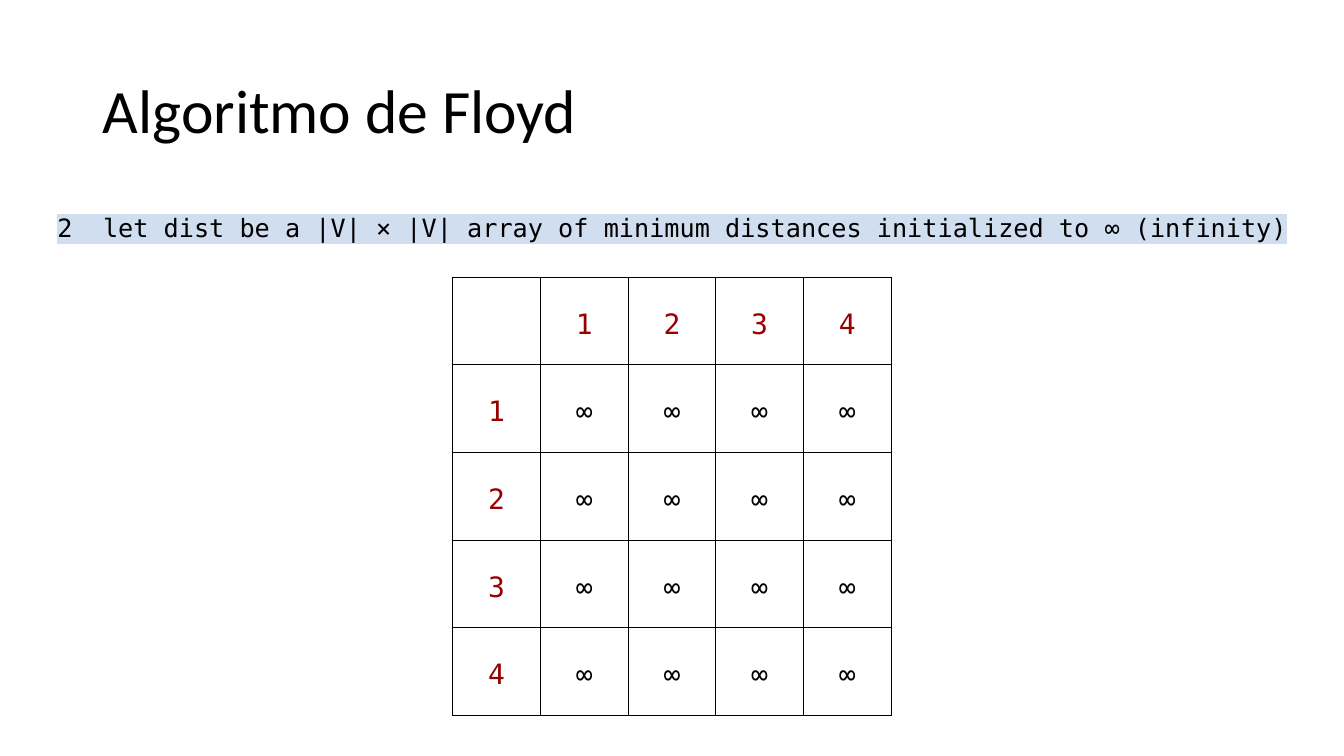
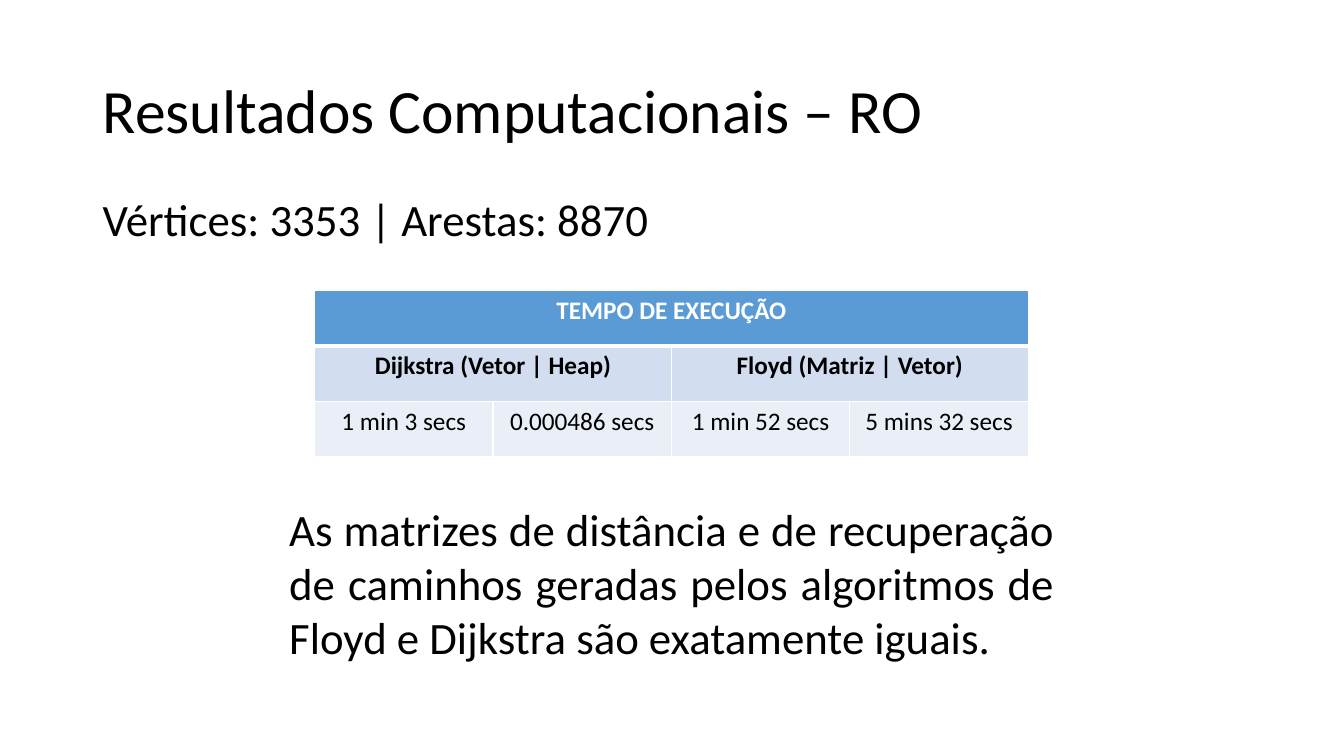
from lxml import etree
from pptx import Presentation
from pptx.dml.color import RGBColor
from pptx.enum.text import MSO_ANCHOR, MSO_AUTO_SIZE, PP_ALIGN
from pptx.oxml.ns import qn
from pptx.util import Inches, Pt

BLACK = RGBColor(0x00, 0x00, 0x00)
WHITE = RGBColor(0xFF, 0xFF, 0xFF)
RED = RGBColor(0x98, 0x00, 0x00)
BLUE = RGBColor(0x5B, 0x9B, 0xD5)
LIGHT_BLUE = RGBColor(0xD2, 0xDE, 0xEF)
PALE_BLUE = RGBColor(0xEA, 0xEF, 0xF7)
HIGHLIGHT = RGBColor(0xD0, 0xDE, 0xEF)
SANS, MONO = "Calibri", "DejaVu Sans Mono"
TITLE_AND_CONTENT, TITLE_ONLY = 1, 5

FLOYD_TITLE = "Algoritmo de Floyd"
FLOYD_STEP = "2  let dist be a |V| × |V| array of minimum distances initialized to ∞ (infinity)"
VERTICES = ["1", "2", "3", "4"]
DISTANCES = [["", *VERTICES]] + [[vertex] + ["∞"] * len(VERTICES) for vertex in VERTICES]

RESULTS_TITLE = "Resultados Computacionais – RO"
GRAPH_SIZE = "Vértices: 3353 | Arestas: 8870"
CONCLUSION = ("As matrizes de distância e de recuperação de caminhos geradas pelos "
              "algoritmos de Floyd e Dijkstra são exatamente iguais.")
TIMES = [  # texts, fill, font colour, bold
    (["TEMPO DE EXECUÇÃO"], BLUE, WHITE, True),
    (["Dijkstra (Vetor | Heap)", "Floyd (Matriz | Vetor)"], LIGHT_BLUE, BLACK, True),
    (["1 min 3 secs", "0.000486 secs", "1 min 52 secs", "5 mins 32 secs"],
     PALE_BLUE, BLACK, False),
]


def place(shape, left, top, width, height):
    for side, value in dict(left=left, top=top, width=width, height=height).items():
        setattr(shape, side, Inches(value))


def write(frame, text, size, font=SANS, color=BLACK, bold=False, **paragraph_format):
    paragraph = frame.paragraphs[0]
    for name, value in paragraph_format.items():
        setattr(paragraph, name, value)
    run = paragraph.add_run()
    run.text = text
    for name, value in dict(size=Pt(size), name=font, bold=bold).items():
        setattr(run.font, name, value)
    run.font.color.rgb = color
    return run


def add_titled_slide(deck, layout, title):
    slide = deck.slides.add_slide(deck.slide_layouts[layout])
    place(slide.shapes.title, 0.92, 0.4, 11.5, 1.45)
    frame = slide.shapes.title.text_frame
    frame.vertical_anchor = MSO_ANCHOR.MIDDLE
    frame.auto_size = MSO_AUTO_SIZE.NONE
    write(frame, title, 44, alignment=PP_ALIGN.LEFT, line_spacing=0.9)
    return slide


def add_text(slide, text, box, alignment):
    frame = slide.shapes.add_textbox(*map(Inches, box)).text_frame
    frame.word_wrap = True
    frame.auto_size = MSO_AUTO_SIZE.SHAPE_TO_FIT_TEXT
    write(frame, text, 32, alignment=alignment)


def add_plain_table(slide, rows, columns, left, top, column_width, row_height):
    """Add a table without the header and banding of its style."""
    table = slide.shapes.add_table(
        rows, columns, Inches(left), Inches(top),
        Inches(columns * column_width), Inches(rows * row_height)).table
    table.first_row = table.horz_banding = False
    for column in table.columns:
        column.width = Inches(column_width)
    for row in table.rows:
        row.height = Inches(row_height)
    return table


def set_borders(cell, color, **widths):
    """Draw all four sides 1 pt wide, but for the widths given by side (L, R, T, B)."""
    properties = cell._tc.get_or_add_tcPr()
    for index, side in enumerate("LRTB"):
        line = etree.Element(qn(f"a:ln{side}"), w=str(Pt(widths.get(side, 1))))
        fill = etree.SubElement(line, qn("a:solidFill"))
        etree.SubElement(fill, qn("a:srgbClr"), val=str(color))
        properties.insert(index, line)


def highlight(run, color):
    mark = etree.Element(qn("a:highlight"))
    etree.SubElement(mark, qn("a:srgbClr"), val=str(color))
    run.font._element.find(qn("a:solidFill")).addnext(mark)


def add_step(body):
    place(body, 0.32, 2, 12.76, 0.9)
    frame = body.text_frame
    frame.auto_size = MSO_AUTO_SIZE.NONE
    step = write(frame, FLOYD_STEP, 18, MONO, line_spacing=1.2, space_before=Pt(0))
    highlight(step, HIGHLIGHT)
    properties = frame.paragraphs[0]._p.get_or_add_pPr()
    properties.set("marL", str(Inches(0.15)))
    properties.set("indent", "0")
    etree.SubElement(properties, qn("a:buNone"))


def add_distances(slide):
    size = len(DISTANCES)
    table = add_plain_table(slide, size, size, 4.49, 2.75, 0.87, 0.87)
    for r, row in enumerate(DISTANCES):
        for c, value in enumerate(row):
            cell = table.cell(r, c)
            cell.fill.background()
            cell.vertical_anchor = MSO_ANCHOR.MIDDLE
            for side in ("left", "right", "top", "bottom"):
                setattr(cell, f"margin_{side}", Inches(0.1))
            set_borders(cell, BLACK)
            if value:
                write(cell.text_frame, value, 20, MONO, BLACK if r and c else RED,
                      alignment=PP_ALIGN.CENTER, line_spacing=1.2)


def add_times(slide):
    columns = len(TIMES[-1][0])
    table = add_plain_table(slide, len(TIMES), columns, 3.12, 2.88, 1.77, 0.55)
    for r, (texts, fill, color, bold) in enumerate(TIMES):
        span = columns // len(texts)
        for c in range(columns):
            cell = table.cell(r, c)
            cell.fill.solid()
            cell.fill.fore_color.rgb = fill
            set_borders(cell, WHITE, T=3 if r == 1 else 1, B=3 if r == 0 else 1)
        for i, label in enumerate(texts):
            cell = table.cell(r, i * span)
            if span > 1:
                cell.merge(table.cell(r, (i + 1) * span - 1))
            write(cell.text_frame, label, 18, SANS, color, bold,
                  alignment=PP_ALIGN.CENTER)


def main():
    deck = Presentation()
    deck.slide_width, deck.slide_height = Inches(13.33), Inches(7.5)

    floyd = add_titled_slide(deck, TITLE_AND_CONTENT, FLOYD_TITLE)
    add_step(floyd.placeholders[1])
    add_distances(floyd)

    results = add_titled_slide(deck, TITLE_ONLY, RESULTS_TITLE)
    add_times(results)
    add_text(results, GRAPH_SIZE, (0.92, 1.85, 6.57, 0.64), PP_ALIGN.LEFT)
    add_text(results, CONCLUSION, (2.77, 4.93, 7.79, 1.72), PP_ALIGN.JUSTIFY)

    deck.save("out.pptx")


if __name__ == "__main__":
    main()
